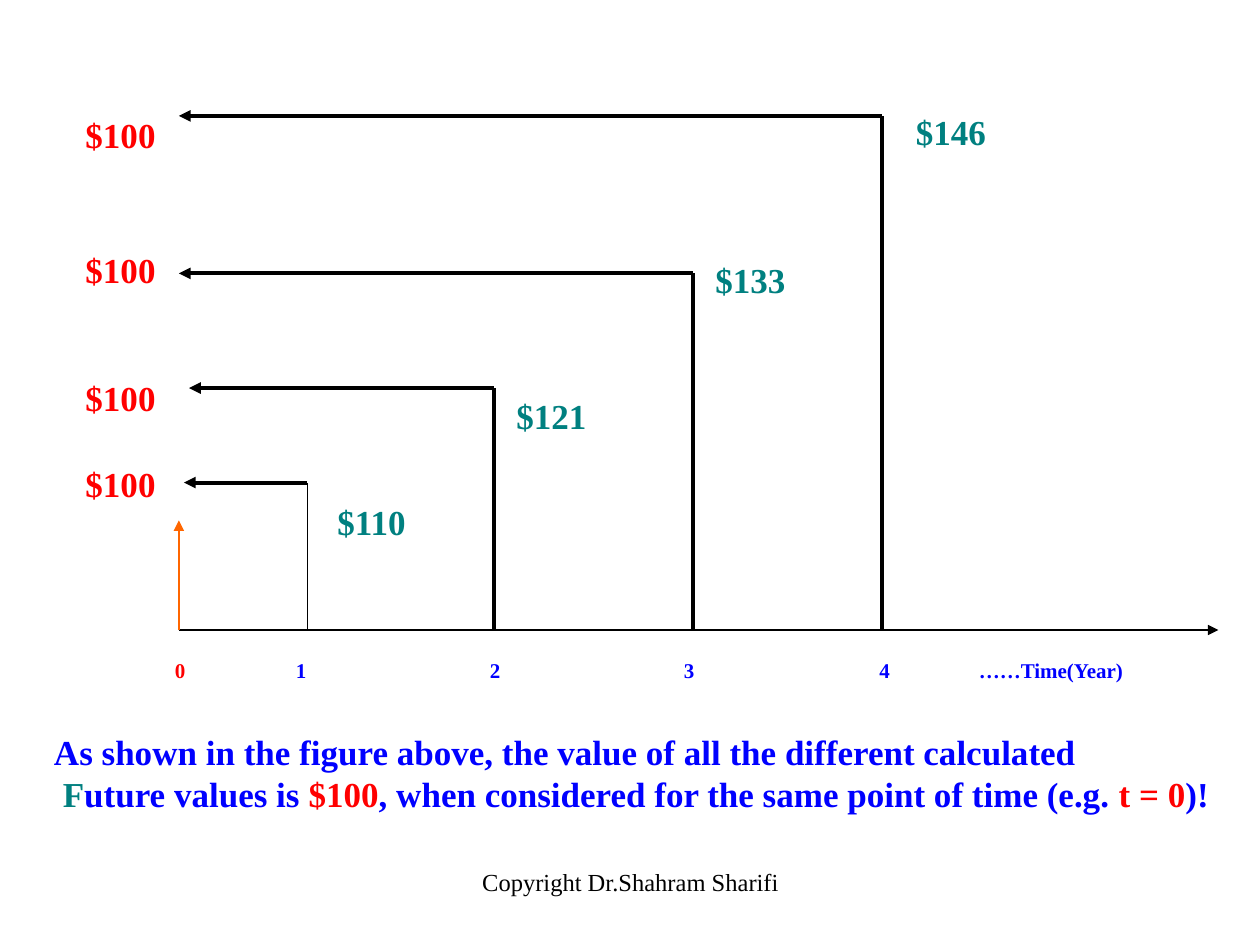
from pptx import Presentation
from pptx.dml.color import RGBColor
from pptx.enum.shapes import MSO_CONNECTOR as CONNECTOR, MSO_SHAPE as SHAPE
from pptx.enum.text import MSO_ANCHOR as ANCHOR, PP_ALIGN as ALIGN
from pptx.oxml.ns import qn
from pptx.util import Inches, Pt
from lxml.etree import SubElement

BLACK, WHITE, RED, BLUE = "000000", "FFFFFF", "FF0000", "0000FF"
TEAL, ORANGE = "008080", "FF6600"
VALUE_FORMAT = {"name": "Times New Roman", "size": Pt(20), "bold": True}
AXIS_FORMAT = {**VALUE_FORMAT, "size": Pt(12)}
FOOTER_FORMAT = {**VALUE_FORMAT, "size": Pt(14), "bold": False}

# End year x, height y, arrow tip x, line widths, value and its box
DISCOUNTS = [
    (5.58, 0.75, 0, 2.25, "$146", (5.75, 0.66, 0.92, 0.5)),
    (4.08, 2, 0, 2.25, "$133", (4.16, 1.83, 0.83, 0.87)),
    (2.5, 2.91, 0.08, 2.25, "$121", (2.58, 2.91, 1.07, 0.44)),
    (1.02, 3.66, 0.04, 0.75, "$110", (1.16, 3.75, 0.92, 0.44)),
]


def color(hex_value):
    return RGBColor.from_string(hex_value)


def write(para, spans, formats):
    """Add (text, colour) spans to a paragraph."""
    for text, hex_value in spans:
        span = para.add_run()
        span.text = text
        for name, value in formats.items():
            setattr(span.font, name, value)
        span.font.color.rgb = color(hex_value)


def add_text(page, box, lines, formats, align=ALIGN.LEFT):
    frame = page.shapes.add_textbox(*map(Inches, box)).text_frame
    frame.word_wrap = True
    for index, spans in enumerate(lines):
        para = frame.add_paragraph() if index else frame.paragraphs[0]
        para.alignment = align
        write(para, spans, formats)
    return frame


def add_panel(page, box):
    panel = page.shapes.add_shape(SHAPE.RECTANGLE, *map(Inches, box))
    panel.shadow.inherit = False
    panel.fill.solid()
    panel.fill.fore_color.rgb = color(WHITE)
    panel.line.color.rgb = color(WHITE)
    panel.line.width = Pt(0.75)
    frame = panel.text_frame
    frame.word_wrap = True
    frame.vertical_anchor = ANCHOR.TOP
    frame.paragraphs[0].alignment = ALIGN.LEFT
    return frame


def add_line(page, start, end, width, hex_value=BLACK, arrow=False):
    line = page.shapes.add_connector(CONNECTOR.STRAIGHT, *map(Inches, start + end))
    line.line.color.rgb = color(hex_value)
    line.line.width = Pt(width)
    properties = line._element.spPr
    if arrow:
        SubElement(properties.find(qn("a:ln")), qn("a:tailEnd"), type="triangle")
    SubElement(properties, qn("a:effectLst"))


def add_present_values(page, box):
    frame = add_panel(page, box)
    frame.margin_top = Inches(0.73)
    for index, gap in enumerate((0, 53.5, 49, 25)):
        para = frame.add_paragraph() if index else frame.paragraphs[0]
        para.alignment = ALIGN.LEFT
        para.space_before = Pt(gap)
        write(para, [("$100", RED)], VALUE_FORMAT)


def add_axis_labels(page, box):
    labels = [("\t0", RED), ("\t1\t2\t3\t4\t……Time(Year)", BLUE)]
    frame = add_text(page, box, [], AXIS_FORMAT)
    para = frame.paragraphs[0]
    tabs = SubElement(para._p.get_or_add_pPr(), qn("a:tabLst"))
    for stop in (0.62, 1.58, 3.12, 4.66, 6.21, 7):
        SubElement(tabs, qn("a:tab"), pos=str(Inches(stop)), algn="l")
    write(para, labels, AXIS_FORMAT)


def add_timeline(page, box):
    """Draw the axes and the arrows that bring each future value back to year 0."""
    left, top, width, height = box
    base = top + height
    add_present_values(page, (left - 0.84, top, 0.92, 4.17))
    add_line(page, (left, base), (left + width, base), 0.75, arrow=True)
    add_line(page, (left, base), (left, base - 0.87), 0.75, ORANGE, arrow=True)
    for year, rise, tip, stem, value, (x, y, w, h) in DISCOUNTS:
        corner = (left + year, top + rise)
        frame = add_panel(page, (left + x, top + y, w, h))
        write(frame.paragraphs[0], [(value, TEAL)], VALUE_FORMAT)
        add_line(page, corner, (left + tip, top + rise), 2.25, arrow=True)
        add_line(page, (left + year, base), corner, stem)


def add_conclusion(page, box):
    lines = [
        [("As shown in the figure above, the value of all the different calculated", BLUE)],
        [(" ", BLUE), ("F", TEAL), ("uture values is ", BLUE), ("$100", RED),
         (", when considered for the same point of time (e.g. ", BLUE),
         ("t = 0", RED), (")!", BLUE)],
    ]
    add_text(page, box, lines, VALUE_FORMAT, ALIGN.JUSTIFY)


def main():
    deck = Presentation()
    deck.slide_width, deck.slide_height = Inches(10), Inches(7.5)
    page = deck.slides.add_slide(deck.slide_layouts[6])
    add_text(page, (3.42, 6.83, 3.17, 0.5),
             [[("Copyright Dr.Shahram Sharifi", BLACK)]], FOOTER_FORMAT, ALIGN.CENTER)
    add_axis_labels(page, (0.67, 5.17, 8.75, 0.7))
    add_conclusion(page, (0.33, 5.75, 9.42, 1.1))
    add_timeline(page, (1.42, 0.17, 8.25, 4.83))
    deck.save("out.pptx")


if __name__ == "__main__":
    main()
